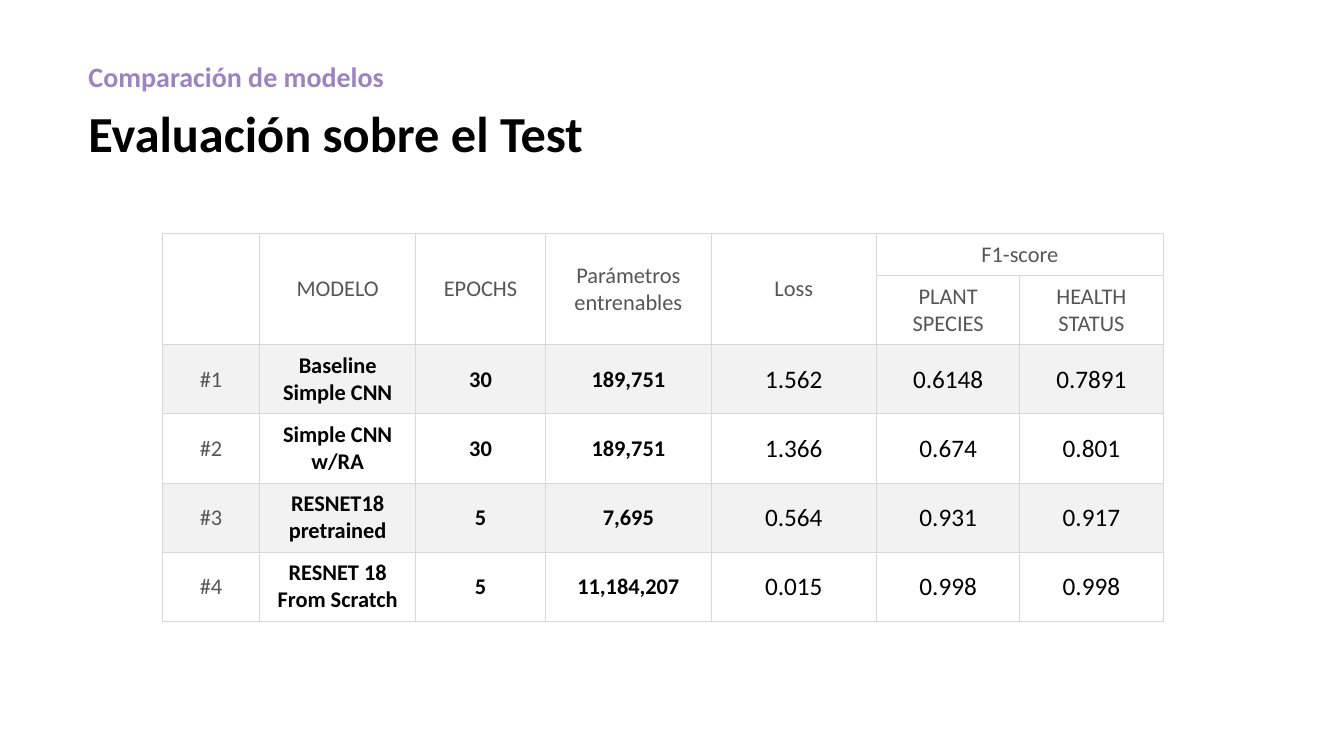
"""Build the slide that compares four plant models on the test set."""
from dataclasses import dataclass

from lxml import etree
from pptx import Presentation
from pptx import util as u
from pptx.dml.color import RGBColor
from pptx.enum import text
from pptx.oxml import ns


@dataclass(frozen=True)
class Theme:
    font: str = "Calibri"
    black: str = "000000"
    gray: str = "565656"
    lilac: str = "9D83BF"
    white: str = "FFFFFF"
    band: str = "F2F2F2"
    rule: str = "D8D8D8"
    title: float = 36
    kicker: float = 20
    value: float = 18
    label: float = 16


@dataclass(frozen=True)
class Style:
    size: float
    color: str
    bold: bool = False


@dataclass(frozen=True)
class Head:
    words: str
    left: float
    top: float
    width: float
    height: float
    style: Style


THEME = Theme()
LABEL = Style(THEME.label, THEME.gray)
NAME = Style(THEME.label, THEME.black, True)
VALUE = Style(THEME.value, THEME.black)
STYLES = [LABEL, NAME, NAME, NAME, VALUE, VALUE, VALUE]

HEADS = [
    Head("Comparación de modelos", 1.98, 1.37, 8.28, 1.12,
         Style(THEME.kicker, THEME.lilac, True)),
    Head("Evaluación sobre el Test", 1.98, 2.46, 13.87, 1.8,
         Style(THEME.title, THEME.black, True)),
]
COLS = [2.46, 3.92, 3.28, 4.17, 4.17, 3.61, 3.61]
ROWS = [1.06] + [1.74] * 5
TOP = 2
CELLS = [
    ["", "MODELO", "EPOCHS", "Parámetros entrenables", "Loss", "F1-score", ""],
    ["", "", "", "", "", "PLANT SPECIES", "HEALTH STATUS"],
    ["#1", "Baseline Simple CNN", "30", "189,751", "1.562", "0.6148", "0.7891"],
    ["#2", "Simple CNN w/RA", "30", "189,751", "1.366", "0.674", "0.801"],
    ["#3", "RESNET18 pretrained", "5", "7,695", "0.564", "0.931", "0.917"],
    ["#4", "RESNET 18\nFrom Scratch", "5", "11,184,207", "0.015", "0.998", "0.998"],
]


def write(frame, words: str, style: Style, align=text.PP_ALIGN.LEFT) -> None:
    """Fill a text frame and style each of its paragraphs."""
    frame.text = words
    for para in frame.paragraphs:
        para.alignment = align
        font = para.font
        font.name, font.size, font.bold = THEME.font, u.Pt(style.size), style.bold
        font.color.rgb = RGBColor.from_string(style.color)


def edge(cell) -> None:
    """Draw a thin rule on the four sides of a cell."""
    props = cell._tc.get_or_add_tcPr()
    for spot, side in enumerate(("lnL", "lnR", "lnT", "lnB")):
        line = etree.Element(ns.qn(f"a:{side}"), w=str(u.Pt(0.75)))
        fill = etree.SubElement(line, ns.qn("a:solidFill"))
        etree.SubElement(fill, ns.qn("a:srgbClr"), val=THEME.rule)
        props.insert(spot, line)


def add_head(slide, head: Head) -> None:
    """Place one heading line."""
    box = slide.shapes.add_textbox(
        u.Cm(head.left), u.Cm(head.top), u.Cm(head.width), u.Cm(head.height))
    frame = box.text_frame
    frame.word_wrap = False
    frame.auto_size = text.MSO_AUTO_SIZE.SHAPE_TO_FIT_TEXT
    write(frame, head.words, head.style)


def add_grid(slide) -> None:
    """Place the table of scores."""
    grid = slide.shapes.add_table(
        len(ROWS), len(COLS), u.Cm(4.09), u.Cm(5.89),
        u.Cm(sum(COLS)), u.Cm(sum(ROWS))).table
    grid.first_row = grid.horz_banding = False
    for col, width in zip(grid.columns, COLS):
        col.width = u.Cm(width)
    for row, height in zip(grid.rows, ROWS):
        row.height = u.Cm(height)
    for col in range(5):
        grid.cell(0, col).merge(grid.cell(1, col))
    grid.cell(0, 5).merge(grid.cell(0, 6))

    for r, line in enumerate(CELLS):
        shade = THEME.band if r >= TOP and r % 2 == 0 else THEME.white
        for c, words in enumerate(line):
            cell = grid.cell(r, c)
            cell.fill.solid()
            cell.fill.fore_color.rgb = RGBColor.from_string(shade)
            edge(cell)
            if not words:
                continue
            tight = r > TOP and c > 4
            cell.margin_left = cell.margin_right = u.Cm(0.18 if tight else 0.25)
            cell.margin_top = cell.margin_bottom = u.Cm(0.08 if tight else 0.18)
            cell.vertical_anchor = text.MSO_ANCHOR.MIDDLE
            style = LABEL if r < TOP else STYLES[c]
            write(cell.text_frame, words, style, text.PP_ALIGN.CENTER)


def main() -> None:
    """Build and save the deck."""
    deck = Presentation()
    deck.slide_width, deck.slide_height = u.Cm(33.87), u.Cm(19.05)
    slide = deck.slides.add_slide(deck.slide_layouts[6])
    for head in HEADS:
        add_head(slide, head)
    add_grid(slide)
    deck.save("out.pptx")


if __name__ == "__main__":
    main()
